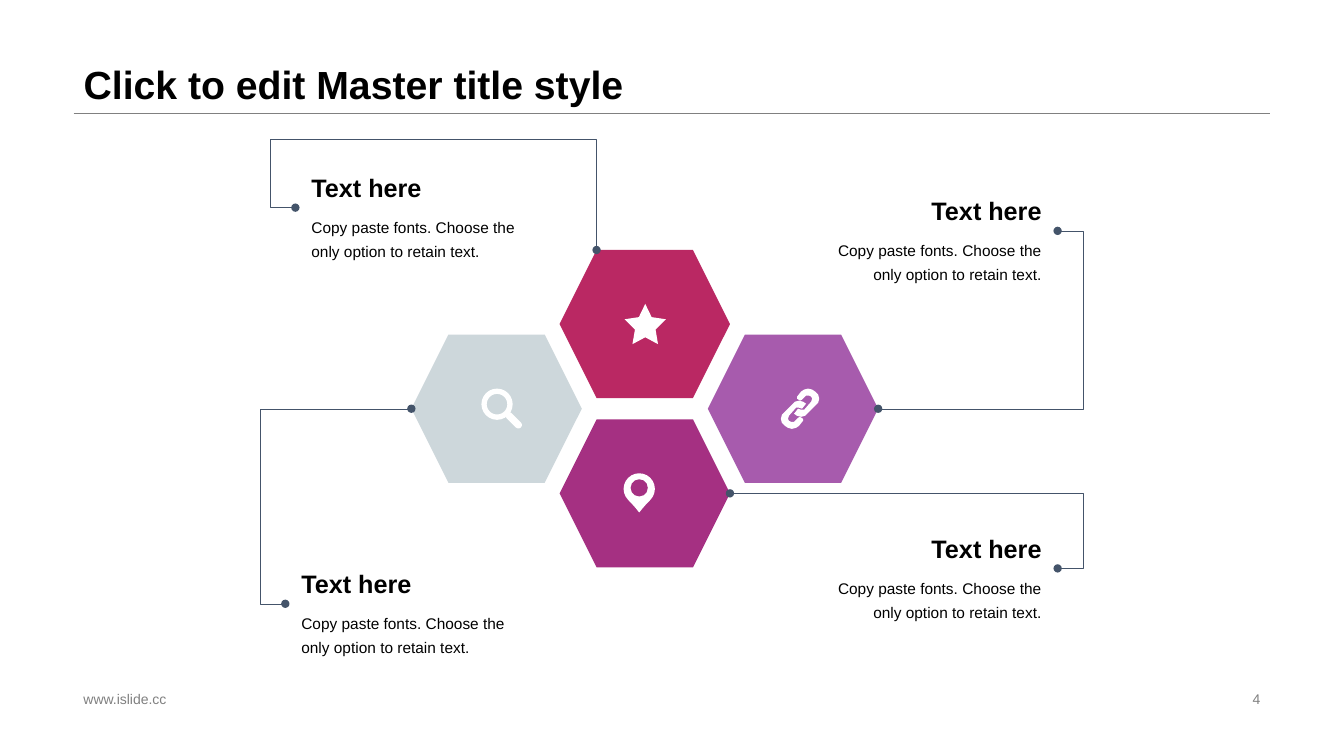
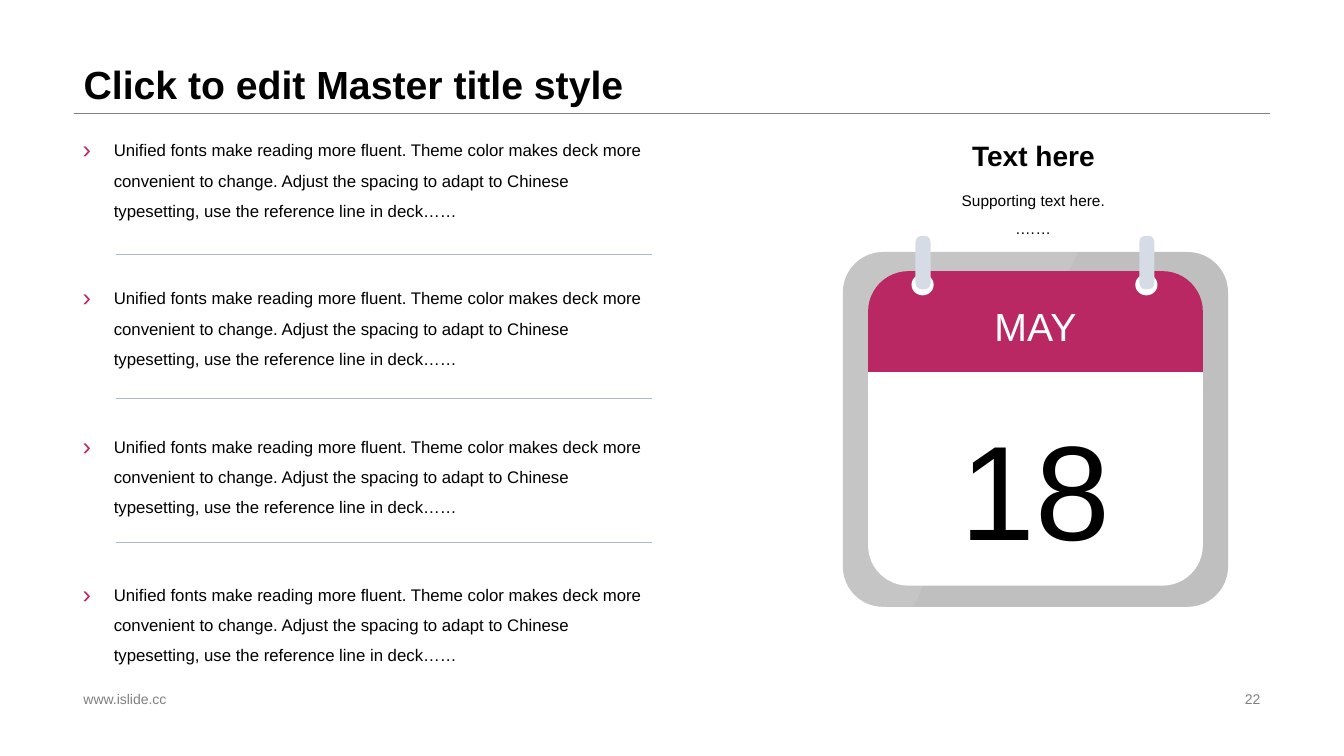
from math import cos, pi, sin

from lxml import etree
from pptx import Presentation
from pptx.dml.color import RGBColor
from pptx.enum.shapes import MSO_CONNECTOR, MSO_SHAPE
from pptx.enum.text import MSO_ANCHOR, MSO_AUTO_SIZE, PP_ALIGN
from pptx.oxml.ns import qn
from pptx.util import Inches, Pt

LEFT, CENTER, RIGHT = PP_ALIGN.LEFT, PP_ALIGN.CENTER, PP_ALIGN.RIGHT
TOP, MIDDLE, BOTTOM = MSO_ANCHOR.TOP, MSO_ANCHOR.MIDDLE, MSO_ANCHOR.BOTTOM
OVAL, ROUNDED = MSO_SHAPE.OVAL, MSO_SHAPE.ROUNDED_RECTANGLE

BLACK = RGBColor(0x00, 0x00, 0x00)
WHITE = RGBColor(0xFF, 0xFF, 0xFF)
GRAY = RGBColor(0x80, 0x80, 0x80)
FRAME = RGBColor(0xBF, 0xBF, 0xBF)
CRIMSON = RGBColor(0xBA, 0x28, 0x63)
PLUM = RGBColor(0xA5, 0x30, 0x82)
VIOLET = RGBColor(0xA7, 0x5B, 0xAD)
MIST = RGBColor(0xCD, 0xD7, 0xDB)
SLATE = RGBColor(0x44, 0x54, 0x6A)
DIVIDER = RGBColor(0xAD, 0xB9, 0xCA)
RING = RGBColor(0xD6, 0xDC, 0xE5)

FONT = "Arial"
MARGIN, CONTENT_W, RULE_Y = 0.73, 11.87, 1.12
HEADING = "Text here"
CALLOUT_TEXT = "Copy paste fonts. Choose the only option to retain text."
BULLET_TEXT = ("Unified fonts make reading more fluent. Theme color makes deck more "
               "convenient to change. Adjust the spacing to adapt to Chinese "
               "typesetting, use the reference line in deck……")

# One half of the chain icon, measured from the icon's centre
LINK_HALF = [
    (-.01, -.08), (.03, -.07), (.06, -.05), (.02, .0), (-.01, -.01), (-.04, -.01),
    (-.11, .07), (-.12, .1), (-.11, .12), (-.09, .13), (-.06, .13), (-.02, .09),
    (.0, .08), (.03, .1), (.03, .12), (-.01, .17), (-.04, .19), (-.08, .2),
    (-.12, .19), (-.15, .17), (-.18, .14), (-.19, .1), (-.18, .06), (-.15, .03),
    (-.08, -.04), (-.05, -.07)]


# Basic parts
def write(shape, text, size, color=BLACK, bold=False, align=LEFT, anchor=TOP, spacing=1.0):
    tf = shape.text_frame
    tf.word_wrap = True
    tf.auto_size = MSO_AUTO_SIZE.NONE
    tf.vertical_anchor = anchor
    tf.text = text
    for p in tf.paragraphs:
        p.alignment = align
        p.line_spacing = spacing
        for r in p.runs:
            r.font.name, r.font.size, r.font.bold = FONT, Pt(size), bold
            r.font.color.rgb = color
    return tf


def add_text(s, x, y, w, h, text, size, **style):
    sp = s.shapes.add_textbox(Inches(x), Inches(y), Inches(w), Inches(h))
    return write(sp, text, size, **style)


def paint(sp, color):
    sp.shadow.inherit = False
    sp.fill.solid()
    sp.fill.fore_color.rgb = color
    sp.line.fill.background()
    return sp


def add_shape(s, kind, x, y, w, h, color, adjust=(), rotation=0):
    sp = s.shapes.add_shape(kind, Inches(x), Inches(y), Inches(w), Inches(h))
    for i, value in enumerate(adjust):
        sp.adjustments[i] = value
    sp.rotation = rotation
    return paint(sp, color)


def add_outline(s, points, color):
    points = [(Inches(x), Inches(y)) for x, y in points]
    builder = s.shapes.build_freeform(*points[0])
    builder.add_line_segments(points[1:], close=True)
    return paint(builder.convert_to_shape(), color)


def add_line(s, begin, end, color, kind=MSO_CONNECTOR.STRAIGHT):
    line = s.shapes.add_connector(kind, *(Inches(v) for v in (*begin, *end)))
    line.line.color.rgb = color
    line.line.width = Pt(0.25)
    etree.SubElement(line._element.spPr, qn("a:effectLst"))
    return line


# Title, rule and footer shared by the slides
def add_page(prs, number):
    s = prs.slides.add_slide(prs.slide_layouts[5])
    add_line(s, (MARGIN, RULE_Y), (MARGIN + CONTENT_W, RULE_Y), GRAY)
    title = s.shapes.title
    title.left, title.top = Inches(MARGIN), 0
    title.width, title.height = Inches(CONTENT_W), Inches(RULE_Y)
    write(title, "Click to edit Master title style", 28, bold=True, anchor=BOTTOM, spacing=0.9)
    for x, w, text, align in ((MARGIN, 4.53, "www.islide.cc", LEFT),
                              (9.42, 3.18, str(number), RIGHT)):
        add_text(s, x, 6.82, w, 0.23, text, 10, color=GRAY, align=align, anchor=MIDDLE)
    return s


# Icons, placed around a centre
def magnifier(s, cx, cy, color):
    add_shape(s, MSO_SHAPE.DONUT, cx - 0.19, cy - 0.2, 0.31, 0.31, WHITE, [0.17])
    add_shape(s, ROUNDED, cx + 0.03, cy + 0.08, 0.2, 0.07, WHITE, [0.5], 45)


def chain(s, cx, cy, color):
    for sign in (1, -1):
        add_outline(s, [(cx + sign * x, cy + sign * y) for x, y in LINK_HALF], WHITE)


def pin(s, cx, cy, color):
    add_shape(s, MSO_SHAPE.TEAR, cx - 0.16, cy - 0.2, 0.31, 0.31, WHITE, [1.07], 135)
    add_shape(s, OVAL, cx - 0.09, cy - 0.14, 0.17, 0.17, color)


def star(s, cx, cy, color):
    add_shape(s, MSO_SHAPE.STAR_5_POINT, cx - 0.2, cy - 0.2, 0.41, 0.4, WHITE, [0.25])


# Hexagon cluster: three columns and three half rows
HEX_W, HEX_H, COL_STEP, ROW_STEP = 1.69, 1.47, 1.47, 0.84


def hexagon_cluster(s, x, y):
    for col, row, color, icon, dx in ((0, 1, MIST, magnifier, 0.04), (2, 1, VIOLET, chain, 0.07),
                                      (1, 2, PLUM, pin, -0.05), (1, 0, CRIMSON, star, 0)):
        left, top = x + col * COL_STEP, y + row * ROW_STEP
        add_shape(s, MSO_SHAPE.HEXAGON, left, top, HEX_W, HEX_H, color)
        icon(s, left + HEX_W / 2 + dx, top + HEX_H / 2, color)


# Leader with round ends, running through a lane beside the callout
def leader(s, begin, end, lane, over=None):
    (x0, y0), (x1, y1) = begin, end
    line = add_line(s, begin, end, SLATE, MSO_CONNECTOR.ELBOW)
    shares = [(lane - x0) / (x1 - x0)]
    geom = line._element.spPr.find(qn("a:prstGeom"))
    if over is not None:
        shares.append((over - y0) / (y1 - y0))
        geom.set("prst", "bentConnector4")
    guides = geom.find(qn("a:avLst"))
    if guides is None:
        guides = etree.SubElement(geom, qn("a:avLst"))
    for i, share in enumerate(shares, 1):
        etree.SubElement(guides, qn("a:gd"), name=f"adj{i}", fmla=f"val {round(share * 100000)}")
    ln = line.line._get_or_add_ln()
    for tag in ("a:headEnd", "a:tailEnd"):
        etree.SubElement(ln, qn(tag), type="oval")


def callout(s, x, y, align, target, over=None):
    w, head_h, body_h = 2.31, 0.42, 0.61
    side, edge = (-1, x) if align == LEFT else (1, x + w)
    anchor_x = edge + side * 0.06
    leader(s, (anchor_x, y + head_h), target, anchor_x + side * 0.25, over)
    add_text(s, x, y + head_h, w, body_h, CALLOUT_TEXT, 11, align=align, spacing=1.3)
    add_text(s, x, y, w, head_h, HEADING, 18, bold=True, align=align, anchor=BOTTOM)


def hexagon_slide(prs):
    s = add_page(prs, 4)
    x, y = 4.08, 2.48
    hexagon_cluster(s, x, y)
    middle = y + ROW_STEP + HEX_H / 2
    callout(s, 2.99, 1.64, LEFT, (x + COL_STEP + HEX_H / 4, y), over=1.38)
    callout(s, 2.89, 5.57, LEFT, (x, middle))
    callout(s, 8.12, 1.87, RIGHT, (x + 2 * COL_STEP + HEX_W, middle))
    callout(s, 8.12, 5.22, RIGHT, (x + COL_STEP + HEX_W, middle + ROW_STEP))


# Bulleted paragraphs with dividers between them
def add_bullet(p, indent):
    pPr = p._p.get_or_add_pPr()
    pPr.set("marL", str(Inches(indent)))
    pPr.set("indent", str(-Inches(indent)))
    color = etree.SubElement(pPr, qn("a:buClr"))
    etree.SubElement(color, qn("a:srgbClr"), val=str(CRIMSON))
    etree.SubElement(pPr, qn("a:buSzPct"), val="150000")
    etree.SubElement(pPr, qn("a:buFont"), typeface=FONT)
    etree.SubElement(pPr, qn("a:buChar"), char="›")


def bullet_column(s, x, y, w, count=4):
    for i in range(count):
        tf = add_text(s, x, y + i * 1.47, w, 1.06, BULLET_TEXT, 12, spacing=1.5)
        add_bullet(tf.paragraphs[0], 0.31)
    for i in range(count - 1):
        line_y = y + 1.28 + i * 1.43
        add_line(s, (x + 0.43, line_y), (x + w - 0.14, line_y), DIVIDER)


# Calendar
def arc(cx, cy, radius, start, steps=12):
    angles = [start + pi / 2 * i / steps for i in range(steps + 1)]
    return [(cx + radius * cos(a), cy + radius * sin(a)) for a in angles]


def calendar(s, x, y, w, h):
    radius, pad, head_y, head_h = 0.4, 0.25, 0.19, 1.0
    page_x, page_w, page_h = x + pad, w - 2 * pad, 3.05
    page_y = y + 0.26

    # Frame with a slanted gloss
    add_shape(s, ROUNDED, x, y, w, h, FRAME, [radius / h])
    gloss = add_outline(s, [(x + 0.7, y + h),
                            *arc(x + radius, y + h - radius, radius, pi / 2),
                            *arc(x + radius, y + radius, radius, pi),
                            (x + 2.33, y)], WHITE)
    tint = gloss._element.spPr.find(".//" + qn("a:srgbClr"))
    etree.SubElement(tint, qn("a:alpha"), val="10000")

    # Page and month
    add_shape(s, ROUNDED, page_x, page_y, page_w, page_h, WHITE, [radius / page_h])
    head = add_shape(s, MSO_SHAPE.ROUND_2_SAME_RECTANGLE, page_x, y + head_y, page_w, head_h,
                     CRIMSON, [radius / head_h, 0])
    tf = write(head, "MAY", 28, color=WHITE, align=CENTER, anchor=MIDDLE, spacing=1.1)
    tf.margin_top, tf.margin_bottom = 0, Inches(0.08)

    # Holes and rings
    for cx in (x + 0.79, x + w - 0.81):
        add_shape(s, OVAL, cx - 0.11, y + 0.22, 0.22, 0.21, WHITE)
        add_shape(s, ROUNDED, cx - 0.07, y - 0.16, 0.15, 0.53, RING, [0.4])

    # Day
    day_y = y + head_y + head_h
    add_text(s, page_x, day_y, page_w, page_y + page_h - day_y, "18", 96,
             align=CENTER, anchor=MIDDLE, spacing=1.1)


def calendar_slide(prs):
    s = add_page(prs, 22)
    calendar(s, 8.36, 2.5, 3.82, 3.52)
    bullet_column(s, 0.72, 1.24, 5.89)
    add_text(s, 8.42, 1.25, 3.66, 0.51, HEADING, 20, bold=True, align=CENTER, anchor=BOTTOM)
    add_text(s, 8.42, 1.76, 3.66, 0.77, "Supporting text here.\n.……", 11,
             align=CENTER, spacing=1.5)


def main():
    prs = Presentation()
    prs.slide_width, prs.slide_height = Inches(13.33), Inches(7.5)
    hexagon_slide(prs)
    calendar_slide(prs)
    prs.save("out.pptx")


if __name__ == "__main__":
    main()
